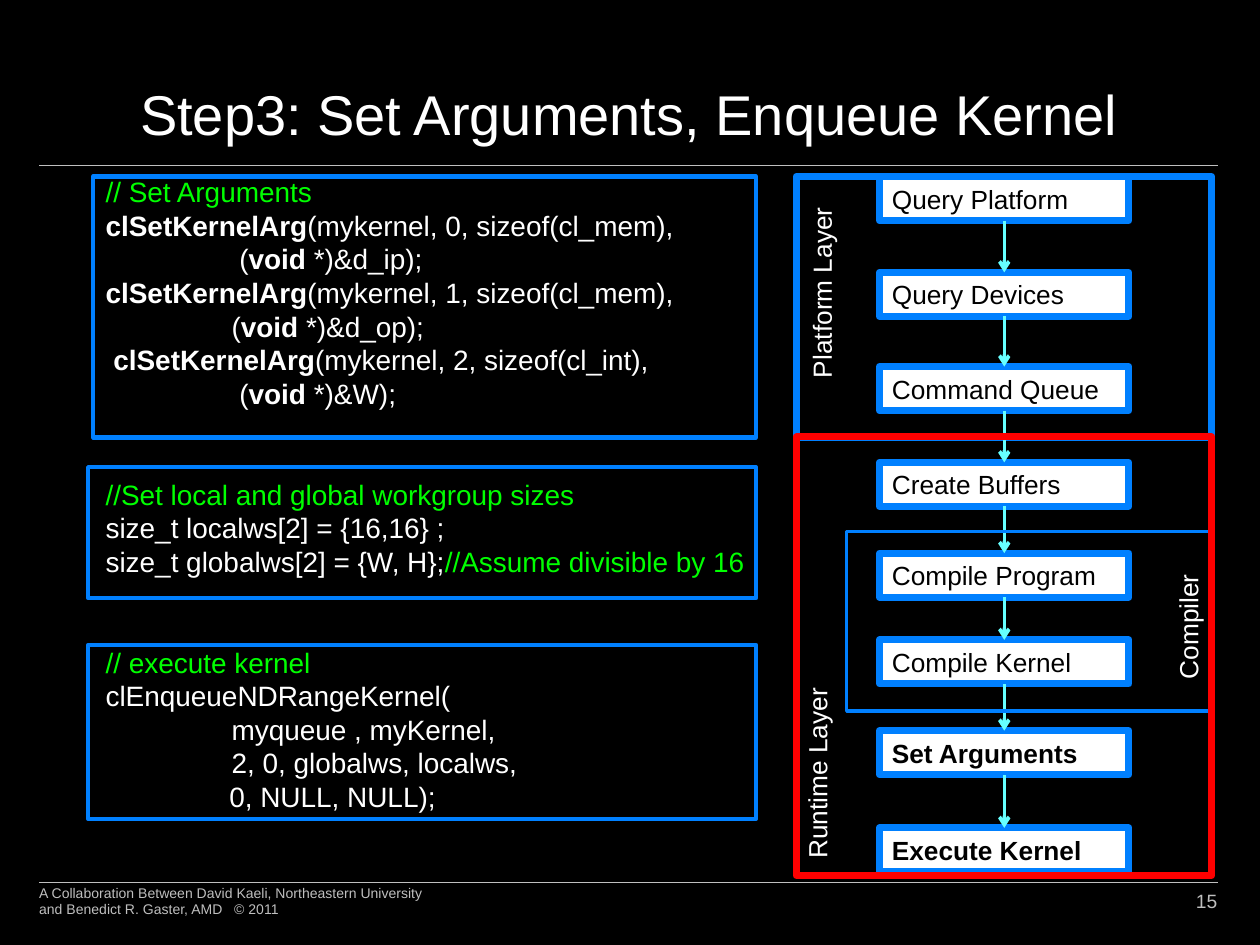
from dataclasses import dataclass
from itertools import pairwise

from lxml.etree import SubElement
from pptx import Presentation
from pptx.dml.color import RGBColor
from pptx.enum.shapes import MSO_CONNECTOR, MSO_SHAPE
from pptx.enum.text import MSO_ANCHOR, PP_ALIGN
from pptx.oxml.ns import qn
from pptx.util import Cm, Pt


@dataclass(frozen=True)
class Theme:
    font: str = "Arial"
    back: str = "000000"
    text: str = "FFFFFF"
    comment: str = "00FF00"
    frame: str = "0080FF"
    highlight: str = "FF0000"
    arrow: str = "66FFFF"
    muted: str = "BFBFBF"
    title_size: float = 32
    code_size: float = 16
    code_pitch: float = 19.2
    step_size: float = 15
    number_size: float = 11
    footer_size: float = 8


THEME = Theme()

TITLE = "Step3: Set Arguments, Enqueue Kernel"
FOOTER = ("A Collaboration Between David Kaeli, Northeastern University "
          "and Benedict R. Gaster, AMD   © 2011")
PAGE_NUMBER = "15"

# Each code line is a list of (text, style) runs.
PLAIN, BOLD, COMMENT = "plain", "bold", "comment"
CODE_BLOCKS = [
    [
        [("// Set Arguments", COMMENT)],
        [("clSetKernelArg", BOLD), ("(mykernel, 0, sizeof(cl_mem),", PLAIN)],
        [("\t\t (", PLAIN), ("void ", BOLD), ("*)&d_ip);", PLAIN)],
        [("clSetKernelArg", BOLD), ("(mykernel, 1, sizeof(cl_mem),", PLAIN)],
        [("\t\t(", PLAIN), ("void ", BOLD), ("*)&d_op);", PLAIN)],
        [(" ", PLAIN), ("clSetKernelArg", BOLD), ("(mykernel, 2, sizeof(cl_int),", PLAIN)],
        [("\t\t (", PLAIN), ("void ", BOLD), ("*)&W);", PLAIN)],
    ],
    [
        [("//Set local and global workgroup sizes", COMMENT)],
        [("size_t localws[2] = {16,16} ;", PLAIN)],
        [("size_t globalws[2] = {W, H};", PLAIN), ("//Assume divisible by 16", COMMENT)],
    ],
    [
        [("// execute kernel", COMMENT)],
        [("clEnqueueNDRangeKernel(", PLAIN)],
        [("\t\tmyqueue , myKernel,", PLAIN)],
        [("\t\t2, 0, globalws, localws,", PLAIN)],
        [("                0, NULL, NULL);", PLAIN)],
    ],
]
BLOCK_GAP_LINES = 2
TAB_STOPS = (1.27, 2.54)

# Lengths below are centimetres: left, top, width, height.
CODE_AREA = (1.88, 3.4, 14.33, 13.26)
CODE_FRAMES = [
    (1.88, 3.56, 13.36, 5.26),
    (1.78, 9.42, 13.46, 2.64),
    (1.78, 13, 13.46, 3.51),
]

# Step, top, bold
STEPS = [
    ("Query Platform", 3.56, False),
    ("Query Devices", 5.49, False),
    ("Command Queue", 7.39, False),
    ("Create Buffers", 9.32, False),
    ("Compile Program", 11.15, False),
    ("Compile Kernel", 12.9, False),
    ("Set Arguments", 14.73, True),
    ("Execute Kernel", 16.69, True),
]
STEP_LEFT, STEP_WIDTH, STEP_HEIGHT = 17.73, 5.03, 0.89

PLATFORM_FRAME = (16.05, 3.56, 8.38, 5.26)
COMPILER_FRAME = (17.07, 10.72, 7.37, 3.61)
RUNTIME_FRAME = (16.05, 8.81, 8.38, 8.84)

# Label, centre x, centre y, length along the text
LAYER_LABELS = [
    ("Platform Layer", 16.56, 5.76, 4.22),
    ("Runtime Layer", 16.47, 15.49, 4.14),
    ("Compiler", 23.95, 12.56, 2.77),
]

RULE_LEFT, RULE_RIGHT = 0.79, 24.56
RULE_TOPS = (3.33, 17.78)
BOTTOM_TOP, BOTTOM_HEIGHT = 17.65, 1.02


def color(value):
    return RGBColor.from_string(value)


def add_run(paragraph, text, size, ink=THEME.text, bold=False):
    run = paragraph.add_run()
    run.text = text
    run.font.name = THEME.font
    run.font.size = Pt(size)
    run.font.bold = bold
    run.font.color.rgb = color(ink)


def add_text(slide, box, text, size, ink=THEME.text, align=PP_ALIGN.LEFT,
             anchor=MSO_ANCHOR.TOP, side_inset=0.25):
    shape = slide.shapes.add_textbox(*map(Cm, box))
    frame = shape.text_frame
    frame.word_wrap = True
    frame.vertical_anchor = anchor
    frame.margin_left = frame.margin_right = Cm(side_inset)
    frame.paragraphs[0].alignment = align
    add_run(frame.paragraphs[0], text, size, ink)
    return shape


def add_box(slide, box, line_width, outline=THEME.frame, fill=None):
    shape = slide.shapes.add_shape(MSO_SHAPE.RECTANGLE, *map(Cm, box))
    shape.shadow.inherit = False
    if fill:
        shape.fill.solid()
        shape.fill.fore_color.rgb = color(fill)
    else:
        shape.fill.background()
    shape.line.color.rgb = color(outline)
    shape.line.width = Pt(line_width)
    return shape


def add_line(slide, ends, ink, width):
    line = slide.shapes.add_connector(MSO_CONNECTOR.STRAIGHT, *map(Cm, ends))
    line.line.color.rgb = color(ink)
    line.line.width = Pt(width)
    SubElement(line._element.spPr, qn("a:effectLst"))
    return line


def add_code(slide):
    styles = {PLAIN: (THEME.text, False), BOLD: (THEME.text, True),
              COMMENT: (THEME.comment, False)}
    frame = slide.shapes.add_textbox(*map(Cm, CODE_AREA)).text_frame
    frame.word_wrap = True
    paragraph = frame.paragraphs[0]
    for block_index, block in enumerate(CODE_BLOCKS):
        for line_index, line in enumerate(block):
            if block_index or line_index:
                paragraph = frame.add_paragraph()
            tabs = SubElement(paragraph._p.get_or_add_pPr(), qn("a:tabLst"))
            for stop in TAB_STOPS:
                SubElement(tabs, qn("a:tab"), pos=str(Cm(stop)), algn="l")
            paragraph.line_spacing = Pt(THEME.code_pitch)
            if block_index and not line_index:
                paragraph.space_before = Pt(BLOCK_GAP_LINES * THEME.code_pitch)
            for text, style in line:
                add_run(paragraph, text, THEME.code_size, *styles[style])


def add_step(slide, step, top, bold):
    shape = add_box(slide, (STEP_LEFT, top, STEP_WIDTH, STEP_HEIGHT), 4, fill=THEME.text)
    shape.text_frame.vertical_anchor = MSO_ANCHOR.MIDDLE
    paragraph = shape.text_frame.paragraphs[0]
    paragraph.alignment = PP_ALIGN.LEFT
    add_run(paragraph, step, THEME.step_size, THEME.back, bold)
    return shape


def add_flow(slide):
    steps = [add_step(slide, *step) for step in STEPS]
    add_box(slide, PLATFORM_FRAME, 4)
    for upper, lower in pairwise(steps):
        arrow = add_line(slide, (0, 0, 0, 0), THEME.arrow, 2)
        arrow.begin_connect(upper, 2)
        arrow.end_connect(lower, 0)
        SubElement(arrow.line._get_or_add_ln(), qn("a:tailEnd"), type="arrow")
    add_box(slide, COMPILER_FRAME, 2)
    for label, x, y, length in LAYER_LABELS:
        box = (x - length / 2, y - STEP_HEIGHT / 2, length, STEP_HEIGHT)
        add_text(slide, box, label, THEME.step_size).rotation = 270
    add_box(slide, RUNTIME_FRAME, 4, THEME.highlight)


def main():
    deck = Presentation()
    deck.slide_width, deck.slide_height = Cm(25.4), Cm(19.05)
    slide = deck.slides.add_slide(deck.slide_layouts[6])
    slide.background.fill.solid()
    slide.background.fill.fore_color.rgb = color(THEME.back)

    for top in RULE_TOPS:
        add_line(slide, (RULE_LEFT, top, RULE_RIGHT, top), THEME.muted, 0.25)
    add_text(slide, (1.78, 0.3, 21.82, 2.79), TITLE, THEME.title_size,
             align=PP_ALIGN.CENTER, anchor=MSO_ANCHOR.BOTTOM)
    add_code(slide)
    add_flow(slide)
    for frame in CODE_FRAMES:
        add_box(slide, frame, 2.5)
    add_text(slide, (22.43, BOTTOM_TOP, 2.11, BOTTOM_HEIGHT), PAGE_NUMBER, THEME.number_size,
             THEME.muted, PP_ALIGN.RIGHT, MSO_ANCHOR.MIDDLE, 0)
    add_text(slide, (RULE_LEFT, BOTTOM_TOP, 8.05, BOTTOM_HEIGHT), FOOTER, THEME.footer_size,
             THEME.muted, anchor=MSO_ANCHOR.MIDDLE, side_inset=0)
    deck.save("out.pptx")


if __name__ == "__main__":
    main()
